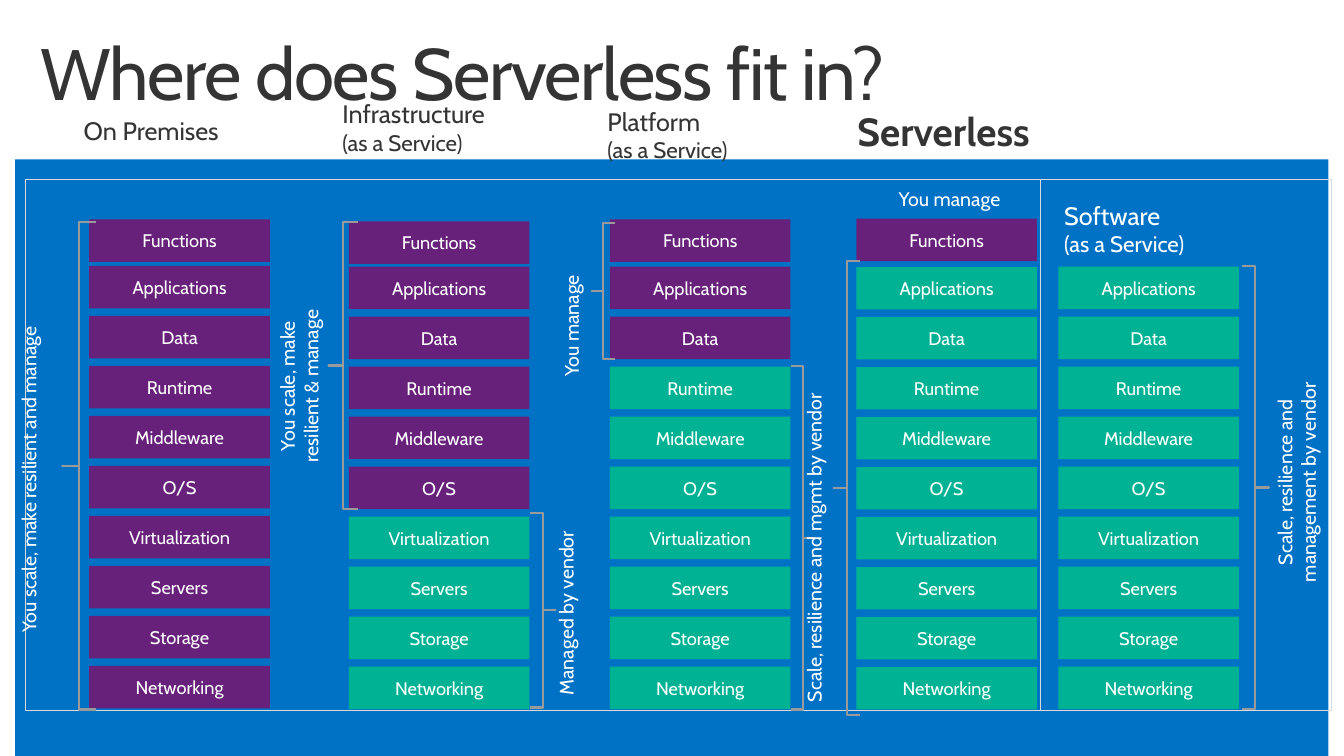
from pptx import Presentation
from pptx.dml.color import RGBColor
from pptx.enum import shapes, text
from pptx.oxml.ns import qn
from pptx.util import Cm, Pt

COLORS = {
    "blue": "0072C6", "white": "FFFFFF", "dark": "343434", "gray": "9A9A9A",
    "frame": "D9D9D9", "yours": "68217A", "vendor": "00B294",
}
RGB = {name: RGBColor.from_string(value) for name, value in COLORS.items()}


def block(kind, left, top, width, height, fill=None, line=None, weight=1.5):
    part = slide.shapes.add_shape(kind, Cm(left), Cm(top), Cm(width), Cm(height))
    part.shadow.inherit = False
    if fill:
        part.fill.solid()
        part.fill.fore_color.rgb = RGB[fill]
    else:
        part.fill.background()
    if line:
        part.line.color.rgb = RGB[line]
        part.line.width = Pt(weight)
    else:
        part.line.fill.background()
    return part


def write(frame, wording, sizes, color, align, bold=False):
    frame.text = wording
    for paragraph, size in zip(frame.paragraphs, sizes):
        paragraph.alignment = align
        paragraph.font.name = "Cabin"
        paragraph.font.size = Pt(size)
        paragraph.font.bold = bold
        paragraph.font.color.rgb = RGB[color]


LEFT, CENTER = text.PP_ALIGN.LEFT, text.PP_ALIGN.CENTER
RECT = shapes.MSO_SHAPE.RECTANGLE
OPEN_RIGHT, OPEN_LEFT = shapes.MSO_SHAPE.LEFT_BRACE, shapes.MSO_SHAPE.RIGHT_BRACE

deck = Presentation()
deck.slide_width, deck.slide_height = Cm(33.87), Cm(19.05)
slide = deck.slides.add_slide(deck.slide_layouts[5])
slide.background.fill.solid()
slide.background.fill.fore_color.rgb = RGB["blue"]

for margin in [(0, 0, 0.38, 19.05), (33.48, 0, 0.39, 19.05), (0, 0, 33.87, 4.02)]:
    block(RECT, *margin, fill="white")
for left, width in [(0.64, 25.58), (26.22, 7.34)]:
    block(RECT, left, 4.52, width, 13.39, line="frame", weight=0.85)

title = slide.shapes.title
title.left, title.top, title.width, title.height = Cm(0.76), Cm(0.81), Cm(27.43), Cm(2.57)
title.text_frame.vertical_anchor = text.MSO_ANCHOR.TOP
title.text_frame.auto_size = text.MSO_AUTO_SIZE.NONE
write(title.text_frame, "Where does Serverless fit in?", [52], "dark", LEFT)
title.text_frame.paragraphs[0].line_spacing = 0.9
next(title.element.iter(qn("a:defRPr"))).set("spc", "-100")
slide.shapes.element.append(title.element)

layers = ["Applications", "Data", "Runtime", "Middleware", "O/S",
          "Virtualization", "Servers", "Storage", "Networking"]
row_step, cell_width, cell_height = 1.26, 4.55, 1.07
columns = [
    (2.25, 6.7, 5.53, 9),
    (8.79, 6.72, 5.58, 5),
    (15.37, 6.72, 5.53, 2),
    (21.58, 6.73, 5.51, 0),
    (26.67, 6.72, None, 0),
]
for left, first_top, functions_top, managed in columns:
    cells = [(layer, first_top + row * row_step, "yours" if row < managed else "vendor")
             for row, layer in enumerate(layers)]
    if functions_top:
        cells.append(("Functions", functions_top, "yours"))
    for layer, top, owner in cells:
        cell = block(RECT, left, top, cell_width, cell_height, fill=owner)
        cell.text_frame.margin_left = cell.text_frame.margin_right = 0
        cell.text_frame.vertical_anchor = text.MSO_ANCHOR.MIDDLE
        write(cell.text_frame, layer, [13], "white", CENTER)

braces = [
    (OPEN_RIGHT, 1.57, 5.59, 0.86, 12.29),
    (OPEN_RIGHT, 8.28, 5.59, 0.74, 7.24),
    (OPEN_LEFT, 13.36, 12.93, 0.64, 4.9),
    (OPEN_RIGHT, 14.91, 5.61, 0.58, 3.43),
    (OPEN_LEFT, 19.94, 9.22, 0.58, 8.66),
    (OPEN_RIGHT, 21.01, 6.58, 0.66, 11.43),
    (OPEN_LEFT, 31.29, 6.71, 0.69, 11.15),
]
for kind, *place in braces:
    brace = block(kind, *place, line="gray")
    brace.adjustments[0], brace.adjustments[1] = 0, 0.5

headings = [
    ("On Premises", 1.22, 2.9, 5.18, 0, [18], "dark", CENTER, False),
    ("Infrastructure\n(as a Service)", 8.38, 2.49, 7.21, 0.25, [18, 16], "dark", LEFT, False),
    ("Platform\n(as a Service)", 15.06, 2.67, 7.16, 0.25, [18, 16], "dark", LEFT, False),
    ("Serverless", 21.36, 2.71, 7.16, 0.25, [28], "dark", LEFT, True),
    ("Software\n(as a Service)", 26.62, 5.05, 6.76, 0.2, [18, 16], "white", LEFT, False),
]
for wording, left, top, width, inset, sizes, color, align, bold in headings:
    heading = slide.shapes.add_textbox(Cm(left), Cm(top), Cm(width), Cm(1.78)).text_frame
    heading.word_wrap = True
    heading.margin_left = heading.margin_right = Cm(inset)
    heading.margin_top = heading.margin_bottom = 0
    write(heading, wording, sizes, color, align, bold)

duties = [
    ("You scale, make resilient and manage", 0.3, 7.87, 1.12, 8.43, "vert270"),
    ("You scale, make\nresilient & manage", 6.81, 7.52, 1.7, 4.42, "vert270"),
    ("Managed by vendor", 13.84, 13.1, 1.12, 4.7, "vert270"),
    ("You manage", 13.97, 6.73, 1.12, 2.97, "vert270"),
    ("Scale, resilience and mgmt by vendor", 20.09, 9.43, 1.12, 8.74, "vert270"),
    ("You manage", 21.93, 4.58, 4, 1.12, "horz"),
    ("Scale, resilience and\nmanagement by vendor", 31.95, 9.4, 1.7, 5.51, "vert270"),
]
for wording, left, top, width, height, direction in duties:
    duty = slide.shapes.add_textbox(Cm(left), Cm(top), Cm(width), Cm(height))
    duty.text_frame.word_wrap = False
    duty.text_frame.auto_size = text.MSO_AUTO_SIZE.SHAPE_TO_FIT_TEXT
    duty.element.txBody.bodyPr.set("vert", direction)
    write(duty.text_frame, wording, [14, 14], "white", CENTER)

deck.save("out.pptx")
